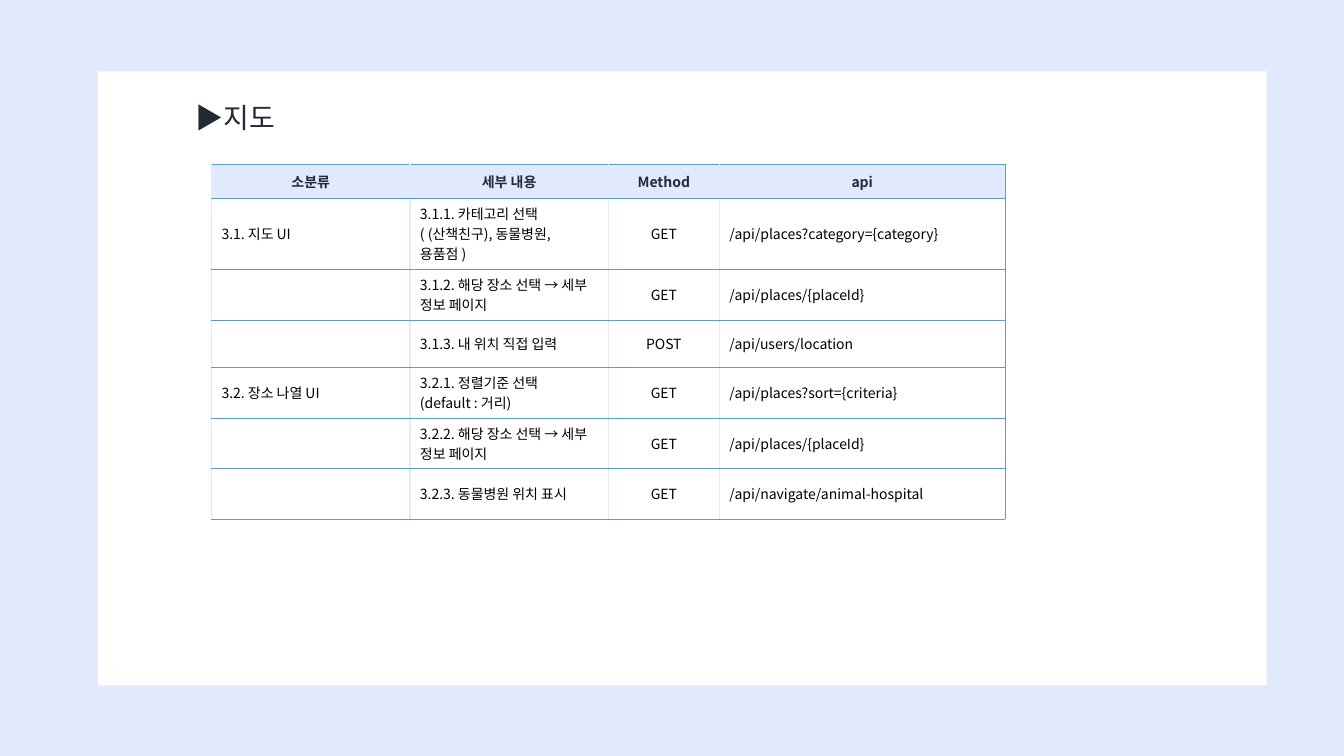
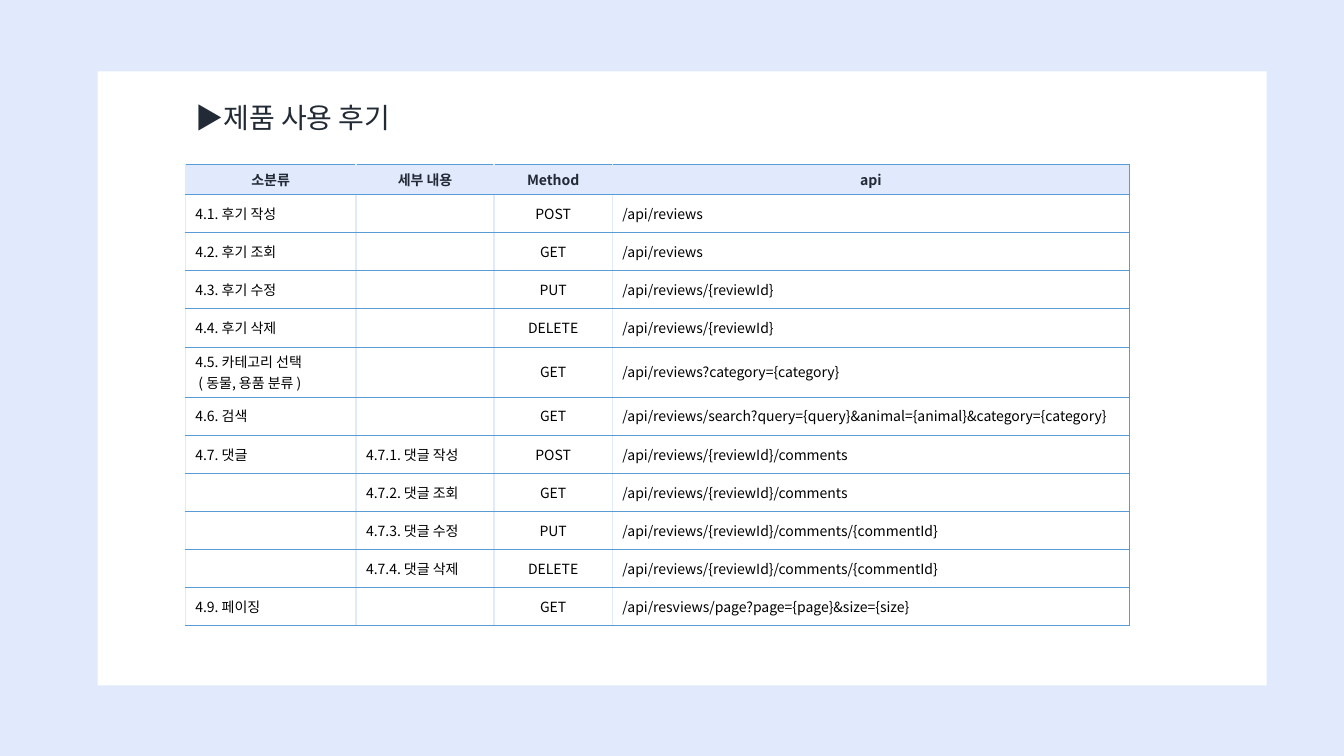
from dataclasses import dataclass

from lxml import etree
from pptx import Presentation
from pptx.dml.color import RGBColor
from pptx.enum.shapes import MSO_SHAPE
from pptx.enum.text import MSO_ANCHOR, MSO_AUTO_SIZE, PP_ALIGN
from pptx.oxml.ns import qn
from pptx.util import Cm, Pt

RECT = MSO_SHAPE.RECTANGLE
MIDDLE = MSO_ANCHOR.MIDDLE
FIT_SHAPE = MSO_AUTO_SIZE.SHAPE_TO_FIT_TEXT
LEFT, CENTER = PP_ALIGN.LEFT, PP_ALIGN.CENTER


@dataclass(frozen=True)
class Theme:
    """Colours, font and type sizes shared by the slides."""
    pale: str = "E0EAFC"
    white: str = "FFFFFF"
    rule: str = "5B9BD5"
    dark: str = "222A35"
    black: str = "000000"
    font: str = "Noto Sans CJK KR"
    title_size: float = 20
    table_size: float = 10
    rule_width: float = 0.5
    divider_width: float = 1


THEME = Theme()
HEADERS = ["소분류", "세부 내용", "Method", "api"]
ALIGNS = [LEFT, LEFT, CENTER, LEFT]

MAP_ROWS = [
    ["3.1. 지도 UI", "3.1.1. 카테고리 선택 ( (산책친구), 동물병원, 용품점 )", "GET",
     "/api/places?category={category}"],
    ["", "3.1.2. 해당 장소 선택 → 세부 정보 페이지", "GET", "/api/places/{placeId}"],
    ["", "3.1.3. 내 위치 직접 입력", "POST", "/api/users/location"],
    ["3.2. 장소 나열 UI", "3.2.1. 정렬기준 선택 (default : 거리)", "GET",
     "/api/places?sort={criteria}"],
    ["", "3.2.2. 해당 장소 선택 → 세부 정보 페이지", "GET", "/api/places/{placeId}"],
    ["", "3.2.3. 동물병원 위치 표시", "GET", "/api/navigate/animal-hospital"],
]

REVIEW_ROWS = [
    ["4.1. 후기 작성", "", "POST", "/api/reviews"],
    ["4.2. 후기 조회", "", "GET", "/api/reviews"],
    ["4.3. 후기 수정", "", "PUT", "/api/reviews/{reviewId}"],
    ["4.4. 후기 삭제", "", "DELETE", "/api/reviews/{reviewId}"],
    ["4.5. 카테고리 선택\n ( 동물, 용품 분류 )", "", "GET", "/api/reviews?category={category}"],
    ["4.6. 검색", "", "GET",
     "/api/reviews/search?query={query}&animal={animal}&category={category}"],
    ["4.7. 댓글", "4.7.1. 댓글 작성", "POST", "/api/reviews/{reviewId}/comments"],
    ["", "4.7.2. 댓글 조회", "GET", "/api/reviews/{reviewId}/comments"],
    ["", "4.7.3. 댓글 수정", "PUT", "/api/reviews/{reviewId}/comments/{commentId}"],
    ["", "4.7.4. 댓글 삭제", "DELETE", "/api/reviews/{reviewId}/comments/{commentId}"],
    ["4.9. 페이징", "", "GET", "/api/resviews/page?page={page}&size={size}"],
]


def rgb(value):
    """Turn a hex string into a colour."""
    return RGBColor.from_string(value)


def write(tf, text, size, color, bold=False, align=LEFT):
    """Fill a text frame and style each of its paragraphs."""
    tf.text = text
    for p in tf.paragraphs:
        p.alignment = align
        p.font.size = Pt(size)
        p.font.bold = bold
        p.font.color.rgb = rgb(color)
        p.font.name = THEME.font
        props = p._p.pPr.find(qn("a:defRPr"))
        etree.SubElement(props, qn("a:ea"), typeface=THEME.font)
        if not p.runs:
            etree.SubElement(p._p, qn("a:endParaRPr"), sz=str(int(size * 100)))


def set_borders(cell, last_col):
    """Draw pale dividers at the sides and blue rules elsewhere."""
    divider = (THEME.pale, THEME.divider_width)
    rule = (THEME.rule, THEME.rule_width)
    sides = [("L", divider), ("R", rule if last_col else divider), ("T", rule), ("B", rule)]
    tcPr = cell._tc.get_or_add_tcPr()
    for i, (side, (color, width)) in enumerate(sides):
        ln = etree.Element(qn(f"a:ln{side}"), w=str(Pt(width)))
        fill = etree.SubElement(ln, qn("a:solidFill"))
        etree.SubElement(fill, qn("a:srgbClr"), val=color)
        tcPr.insert(i, ln)


def add_panel(s, x, y, w, h):
    """Place the white panel behind the content."""
    sp = s.shapes.add_shape(RECT, Cm(x), Cm(y), Cm(w), Cm(h))
    sp.shadow.inherit = False
    sp.fill.solid()
    sp.fill.fore_color.rgb = rgb(THEME.white)
    sp.line.fill.background()


def add_title(s, text, x, y, w, h):
    """Place the slide title."""
    tf = s.shapes.add_textbox(Cm(x), Cm(y), Cm(w), Cm(h)).text_frame
    tf.word_wrap = False
    tf.auto_size = FIT_SHAPE
    write(tf, text, THEME.title_size, THEME.dark)


def add_api_table(s, rows, x, y, widths, heights):
    """Place a table of API calls under a shaded header row."""
    frame = s.shapes.add_table(len(rows) + 1, len(widths), Cm(x), Cm(y),
                               Cm(sum(widths)), Cm(sum(heights)))
    table = frame.table
    table.horz_banding = False
    for col, width in zip(table.columns, widths):
        col.width = Cm(width)
    for row, height in zip(table.rows, heights):
        row.height = Cm(height)
    for i, texts in enumerate([HEADERS] + rows):
        header = i == 0
        for j, text in enumerate(texts):
            cell = table.cell(i, j)
            cell.vertical_anchor = MIDDLE
            if header:
                cell.fill.solid()
                cell.fill.fore_color.rgb = rgb(THEME.pale)
            else:
                cell.fill.background()
            write(cell.text_frame, text, THEME.table_size,
                  THEME.dark if header else THEME.black, header,
                  CENTER if header else ALIGNS[j])
            set_borders(cell, j == len(widths) - 1)


def add_api_slide(prs, title, title_width, rows, table_left, widths, heights):
    """Build one slide with a panel, a title and an API table."""
    s = prs.slides.add_slide(prs.slide_layouts[6])
    s.background.fill.solid()
    s.background.fill.fore_color.rgb = rgb(THEME.pale)
    x, y = 2.46, 1.8
    add_panel(s, x, y, 29.46, 15.47)
    add_api_table(s, rows, x + table_left, y + 2.34, widths, heights)
    add_title(s, title, x + 2.21, y + 0.61, title_width, 1.12)


def main():
    """Build and save the presentation."""
    prs = Presentation()
    prs.slide_width, prs.slide_height = Cm(33.87), Cm(19.05)
    add_api_slide(prs, "▶지도", 2.64, MAP_ROWS, 2.87, [5, 5, 2.8, 7.2],
                  [0.86, 1.78, 1.28, 1.19, 1.28, 1.28, 1.27])
    add_api_slide(prs, "▶제품 사용 후기", 6, REVIEW_ROWS, 2.21, [4.3, 3.48, 2.98, 13.03],
                  [0.76] + [0.96] * 4 + [1.26] + [0.96] * 6)
    prs.save("out.pptx")


if __name__ == "__main__":
    main()
